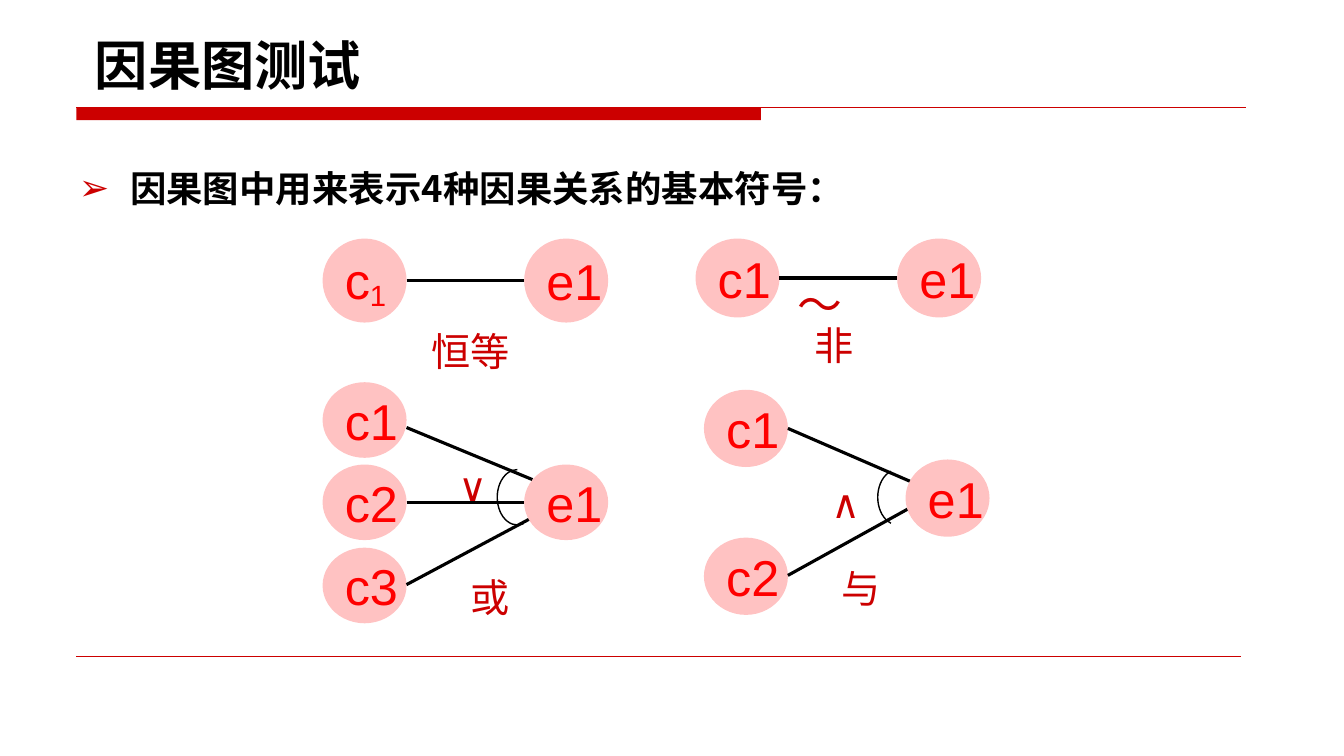
from lxml import etree
from pptx import Presentation
from pptx.dml.color import RGBColor
from pptx.enum.shapes import MSO_CONNECTOR, MSO_SHAPE
from pptx.enum.text import MSO_ANCHOR, MSO_AUTO_SIZE, PP_ALIGN
from pptx.oxml.ns import qn
from pptx.util import Inches, Pt

OVAL, RECT, ARC = MSO_SHAPE.OVAL, MSO_SHAPE.RECTANGLE, MSO_SHAPE.ARC
LINE = MSO_CONNECTOR.STRAIGHT
LEFT, JUSTIFY = PP_ALIGN.LEFT, PP_ALIGN.JUSTIFY
MIDDLE, BOTTOM = MSO_ANCHOR.MIDDLE, MSO_ANCHOR.BOTTOM
GROW, FIXED = MSO_AUTO_SIZE.SHAPE_TO_FIT_TEXT, MSO_AUTO_SIZE.NONE

COLS, ROWS = 160, 90
CELL = Inches(1 / 12)
NODE = 10   # width of a node
REACH = 24  # from a cause to its effect
COLORS = {"red": "CC0000", "pink": "FFC2C2", "node": "FF0000", "black": "000000"}
HAN, SIGN, LATIN = "Noto Sans CJK SC", "DejaVu Sans", "Arial"


def grid(*cells):
    return [round(cell * CELL) for cell in cells]


def color(name):
    return RGBColor.from_string(COLORS[name])


def add_run(para, text, size, font, tint, bold=False):
    run = para.add_run()
    run.text = text
    run.font.size = Pt(size)
    run.font.name = font
    run.font.bold = bold
    run.font.color.rgb = color(tint)
    east = etree.SubElement(run.font._element, qn("a:ea"))
    east.set("typeface", font)
    return run


def add_line(slide, start, end, tint, width):
    line = slide.shapes.add_connector(LINE, *grid(*start, *end))
    line.line.color.rgb = color(tint)
    line.line.width = Pt(width)
    etree.SubElement(line._element.spPr, qn("a:effectLst"))


def add_label(slide, text, left, top, width, size=28, font=HAN):
    box = slide.shapes.add_textbox(*grid(left, top, width, 6.8))
    frame = box.text_frame
    frame.word_wrap = True
    frame.auto_size = GROW
    add_run(frame.paragraphs[0], text, size, font, "red")


def add_node(slide, text, left, top, height, sub=""):
    node = slide.shapes.add_shape(OVAL, *grid(left, top, NODE, height))
    node.shadow.inherit = False
    node.fill.solid()
    node.fill.fore_color.rgb = color("pink")
    node.line.fill.background()
    frame = node.text_frame
    frame.word_wrap = False
    frame.vertical_anchor = MIDDLE
    para = frame.paragraphs[0]
    para.alignment = LEFT
    add_run(para, text, 36, LATIN, "node")
    if sub:
        run = add_run(para, sub, 36, LATIN, "node")
        run.font._element.set("baseline", "-14000")


def add_graph(slide, left, height, effect, causes):
    """Each cause is (text, subscript, top, link start row, link end row)."""
    for text, sub, top, start, end in causes:
        add_node(slide, text, left, top, height, sub)
        inset = 0 if start == end else 1
        add_line(slide, (left + NODE, start), (left + REACH + inset, end), "black", 2.25)
    add_node(slide, "e1", left + REACH, effect, height)


def add_arc(slide, left, top, width, height, start, end):
    """Draw clockwise between two angles in degrees."""
    arc = slide.shapes.add_shape(ARC, *grid(left, top, width, height))
    arc.shadow.inherit = False
    arc.fill.background()
    arc.line.color.rgb = color("black")
    arc.line.width = Pt(1)
    for place, angle in enumerate((start, end)):
        arc.adjustments[place] = angle * 0.6


def add_title(slide, text):
    title = slide.shapes.title
    title.left, title.top, title.width, title.height = grid(10.1, 2.6, 105, 9.4)
    frame = title.text_frame
    frame.auto_size = FIXED
    frame.vertical_anchor = BOTTOM
    para = frame.paragraphs[0]
    para.alignment = LEFT
    add_run(para, text, 38, HAN, "black", True)


def add_rules(slide):
    bar = slide.shapes.add_shape(RECT, *grid(9.1, 12.8, 81.5, 1.5))
    bar.shadow.inherit = False
    bar.fill.solid()
    bar.fill.fore_color.rgb = color("red")
    bar.line.fill.background()
    add_line(slide, (9.1, 12.85), (148.3, 12.85), "red", 0.75)
    add_line(slide, (9.1, 78.1), (147.8, 78.1), "red", 0.25)


def add_point(slide, text):
    box = slide.shapes.add_textbox(*grid(8.2, 17.6, 103, 10.4))
    frame = box.text_frame
    frame.word_wrap = True
    para = frame.paragraphs[0]
    para.alignment = JUSTIFY
    para.line_spacing = 1.3
    para.space_before = Pt(5.2)
    props = para._p.get_or_add_pPr()
    indent = Inches(0.51)
    props.set("marL", str(indent))
    props.set("indent", str(-indent))
    tint = etree.SubElement(props, qn("a:buClr"))
    etree.SubElement(tint, qn("a:srgbClr")).set("val", COLORS["red"])
    etree.SubElement(props, qn("a:buFont")).set("typeface", SIGN)
    etree.SubElement(props, qn("a:buChar")).set("char", "➢")
    add_run(para, text, 26, HAN, "black", True)


def main():
    deck = Presentation()
    deck.slide_width, deck.slide_height = grid(COLS, ROWS)
    slide = deck.slides.add_slide(deck.slide_layouts[5])

    add_rules(slide)
    add_title(slide, "因果图测试")
    add_point(slide, "因果图中用来表示4种因果关系的基本符号：")

    add_graph(slide, 38.4, 10, 28.4, [("c", "1", 28.4, 33.4, 33.4)])
    add_label(slide, "恒等", 50.2, 38.4, 12.8)

    add_graph(slide, 82.8, 9.4, 28.4, [("c1", "", 28.4, 33.1, 33.1)])
    add_label(slide, "非", 95.8, 37.6, 7.2)
    add_label(slide, "～", 93.8, 32.3, 11, 32, SIGN)

    add_graph(slide, 38.4, 9, 55.3, [
        ("c1", "", 45.5, 50.9, 57.1),
        ("c2", "", 55.3, 59.8, 59.8),
        ("c3", "", 65.2, 69.6, 61.6),
    ])
    add_label(slide, "或", 54.8, 67.6, 7)
    add_label(slide, "∨", 53.4, 54.5, 7, font=SIGN)
    add_arc(slide, 59.2, 55.9, 4.8, 6.6, 77, 270)

    add_graph(slide, 83.8, 9.2, 54.7, [
        ("c1", "", 46.4, 51, 57.5),
        ("c2", "", 64, 68.5, 60.2),
    ])
    add_label(slide, "与", 99, 66.6, 7.2)
    add_label(slide, "∧", 97.8, 56.5, 7, font=SIGN)
    add_arc(slide, 104.5, 55.9, 4.8, 6.6, 105, 255)

    deck.save("out.pptx")


if __name__ == "__main__":
    main()
